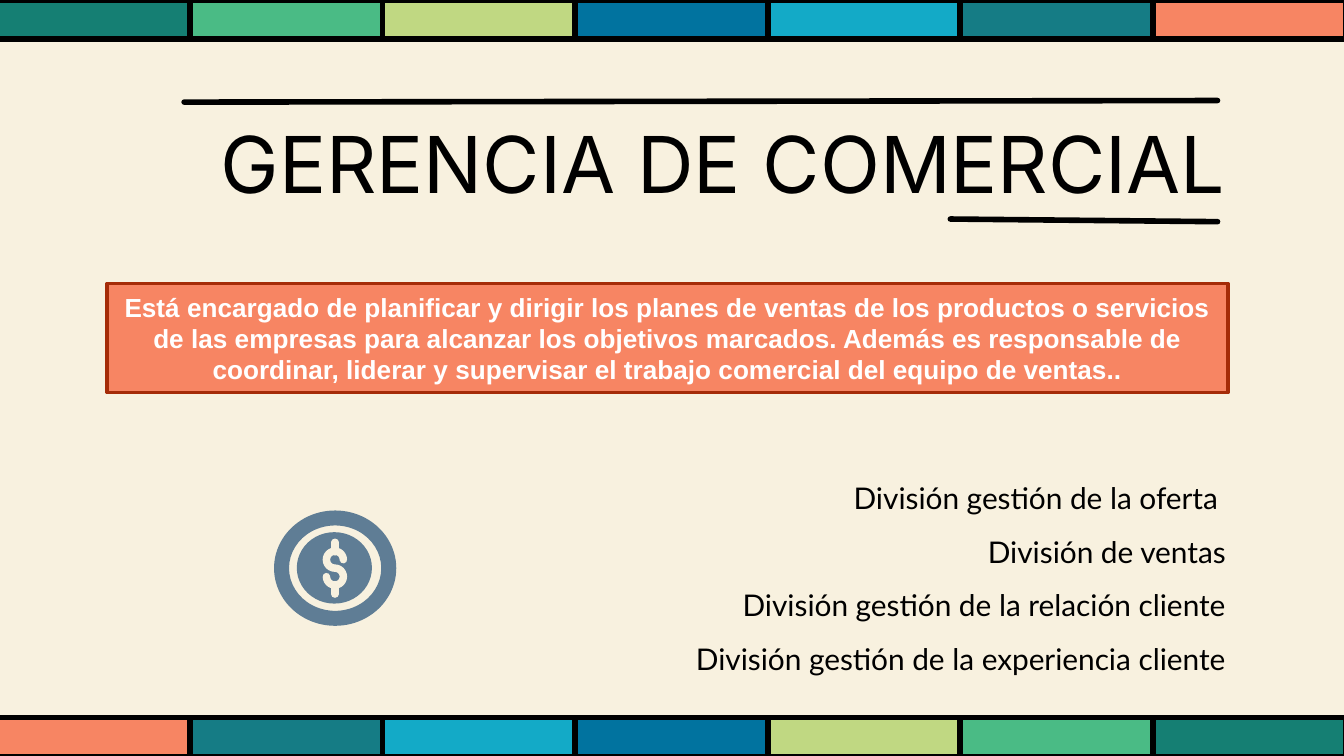
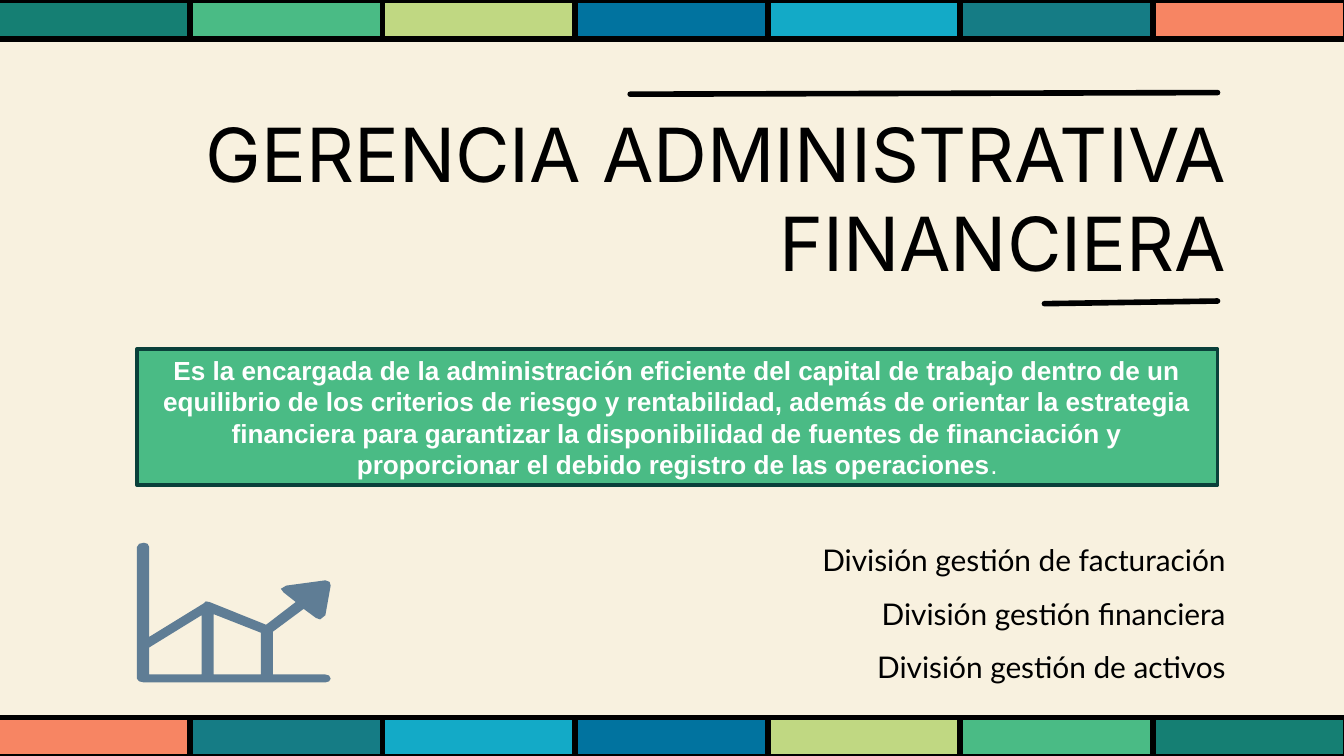
"""Build two slides that present company departments and their divisions."""
import math
from typing import Callable, NamedTuple

from lxml import etree
from pptx import Presentation
from pptx import util as u
from pptx.dml.color import RGBColor
from pptx.enum import shapes, text
from pptx.oxml.ns import qn

COLORS = {
    "cream": "F8F1DF",
    "black": "000000",
    "white": "FFFFFF",
    "pine": "157F73",
    "green": "4ABB85",
    "lime": "C0D882",
    "blue": "01739F",
    "cyan": "13AAC7",
    "teal": "157C85",
    "coral": "F78563",
    "rust": "A52C08",
    "forest": "0A403A",
    "slate": "5F7D95",
}
BAND = ("pine", "green", "lime", "blue", "cyan", "teal", "coral")
TILE_WIDTH, TILE_HEIGHT = 3.64, 0.74
BAND_LEFT, BAND_TOP, BAND_BOTTOM = -0.05, 0, 13.56
MARGIN = u.Cm(0.25)

Point = tuple[float, float]


class Box(NamedTuple):
    """Left, top, width and height in centimetres."""

    left: float
    top: float
    width: float
    height: float

    def lengths(self) -> list[u.Length]:
        """Return the four values as lengths."""
        return [u.Cm(value) for value in self]


class Rule(NamedTuple):
    """A straight stroke between two points in centimetres."""

    start: Point
    end: Point


class Mission(NamedTuple):
    """The framed statement of what a department does."""

    box: Box
    fill: str
    border: str
    statement: str
    ending: str = ""


class Department(NamedTuple):
    """Everything one slide shows."""

    name: str
    name_size: int
    name_box: Box
    rules: tuple[Rule, Rule]
    mission: Mission
    divisions: tuple[str, ...]
    divisions_box: Box
    draw_icon: Callable


def rgb(name: str) -> RGBColor:
    """Look up a colour by name."""
    return RGBColor.from_string(COLORS[name])


def style_runs(paragraph, font: str, size: float, color: str, bold: bool = False) -> None:
    """Format every run of a paragraph."""
    for run in paragraph.runs:
        run.font.name = font
        run.font.size = u.Pt(size)
        run.font.bold = bold
        run.font.color.rgb = rgb(color)


def paint(shape, fill: str | None, border: str | None = None, width: float = 0) -> None:
    """Set fill and border, and take the shadow away."""
    shape.shadow.inherit = False
    if fill:
        shape.fill.solid()
        shape.fill.fore_color.rgb = rgb(fill)
    else:
        shape.fill.background()
    if border:
        shape.line.color.rgb = rgb(border)
        shape.line.width = u.Pt(width)
    else:
        shape.line.fill.background()


def round_ends(stroke) -> None:
    """Give a stroke rounded ends."""
    stroke.element.spPr.find(qn("a:ln")).set("cap", "rnd")


def add_block(slide, kind, box: Box, fill: str, border: str | None = None, width: float = 0):
    """Add a painted preset shape."""
    block = slide.shapes.add_shape(kind, *box.lengths())
    paint(block, fill, border, width)
    return block


def add_rule(slide, rule: Rule, color: str = "black", width: float = 3) -> None:
    """Add a straight stroke with rounded ends."""
    ends = [u.Cm(value) for point in rule for value in point]
    stroke = slide.shapes.add_connector(shapes.MSO_CONNECTOR.STRAIGHT, *ends)
    stroke.line.color.rgb = rgb(color)
    stroke.line.width = u.Pt(width)
    round_ends(stroke)
    etree.SubElement(stroke.element.spPr, qn("a:effectLst"))


def add_outline(slide, contours: list[list[Point]], close: bool = True):
    """Add one freeform made of the given contours."""
    scaled = [[(u.Cm(x), u.Cm(y)) for x, y in contour] for contour in contours]
    builder = slide.shapes.build_freeform(*scaled[0][0])
    for index, contour in enumerate(scaled):
        if index:
            builder.move_to(*contour[0])
        builder.add_line_segments(contour[1:], close=close)
    return builder.convert_to_shape()


def draw_coin(slide) -> None:
    """Draw a coin with a dollar sign."""
    center_x, center_y, radius = 6.33, 10.74, 0.16
    ring = add_block(slide, shapes.MSO_SHAPE.DONUT, Box(5.18, 9.65, 2.31, 2.18), "slate")
    ring.adjustments[0] = 0.13
    add_block(slide, shapes.MSO_SHAPE.OVAL, Box(5.61, 10.06, 1.42, 1.35), "slate")

    def arc(middle: float, degrees: range) -> list[Point]:
        return [
            (center_x + radius * math.cos(math.radians(d)), middle - radius * math.sin(math.radians(d)))
            for d in degrees
        ]

    curve = arc(center_y - radius, range(0, 271, 15)) + arc(center_y + radius, range(75, -181, -15))
    letter = add_outline(slide, [curve], close=False)
    paint(letter, None, "cream", 4)
    round_ends(letter)
    for side in (-1, 1):
        bar = Rule((center_x, center_y + side * 0.31), (center_x, center_y + side * 0.49))
        add_rule(slide, bar, "cream", 4)


def draw_growth(slide) -> None:
    """Draw a rising graph with an arrow."""
    frame = [
        (2.72, 10.26), (2.63, 10.28), (2.59, 10.34), (2.59, 12.83), (2.63, 12.88), (2.72, 12.9),
        (6.15, 12.9), (6.22, 12.88), (6.25, 12.83), (6.22, 12.77), (6.15, 12.75), (5.16, 12.75),
        (5.16, 11.94), (5.74, 11.51), (5.97, 11.68), (6.05, 11.71), (6.15, 11.63), (6.25, 11.07),
        (6.23, 11), (6.15, 10.97), (5.41, 11.07), (5.31, 11.13), (5.36, 11.2), (5.59, 11.38),
        (5.03, 11.81), (3.96, 11.38), (3.89, 11.37), (3.86, 11.4), (2.82, 12.04), (2.82, 10.34),
        (2.79, 10.28),
    ]
    left_gap = [(3.81, 11.63), (3.81, 12.75), (2.82, 12.75), (2.82, 12.24)]
    right_gap = [(4.04, 11.61), (4.93, 11.96), (4.93, 12.75), (4.04, 12.75)]
    paint(add_outline(slide, [frame, left_gap, right_gap]), "slate")


def add_bands(slide) -> None:
    """Add the colour bands at the top and the bottom."""
    for top, colors in ((BAND_BOTTOM, BAND[::-1]), (BAND_TOP, BAND)):
        for column, color in enumerate(colors):
            tile = Box(BAND_LEFT + column * TILE_WIDTH, top, TILE_WIDTH, TILE_HEIGHT)
            add_block(slide, shapes.MSO_SHAPE.RECTANGLE, tile, color, "black", 3)


def set_frame(frame) -> None:
    """Give a text frame its wrapping, margins and anchor."""
    frame.word_wrap = True
    frame.auto_size = text.MSO_AUTO_SIZE.NONE
    frame.vertical_anchor = text.MSO_ANCHOR.TOP
    frame.margin_left = frame.margin_right = MARGIN
    frame.margin_top = frame.margin_bottom = MARGIN


def set_title(slide, department: Department) -> None:
    """Place and format the title."""
    title = slide.shapes.title
    title.left, title.top, title.width, title.height = department.name_box.lengths()
    set_frame(title.text_frame)
    title.text_frame.text = department.name
    heading = title.text_frame.paragraphs[0]
    heading.alignment = text.PP_ALIGN.RIGHT
    style_runs(heading, "Inter", department.name_size, "black")


def add_mission(slide, mission: Mission) -> None:
    """Add the framed statement."""
    panel = add_block(
        slide, shapes.MSO_SHAPE.RECTANGLE, mission.box, mission.fill, mission.border, 2
    )
    panel.text_frame.word_wrap = True
    panel.text_frame.vertical_anchor = text.MSO_ANCHOR.MIDDLE
    panel.text_frame.text = mission.statement
    statement = panel.text_frame.paragraphs[0]
    statement.alignment = text.PP_ALIGN.CENTER
    if mission.ending:
        statement.add_run().text = mission.ending
    style_runs(statement, "Arial", 14, "white", bold=True)
    if mission.ending:
        statement.runs[-1].font.bold = False


def add_divisions(slide, department: Department) -> None:
    """Add the list of divisions."""
    listing = slide.shapes.add_textbox(*department.divisions_box.lengths()).text_frame
    set_frame(listing)
    listing.text = "\n".join(department.divisions)
    for division in listing.paragraphs:
        division.alignment = text.PP_ALIGN.RIGHT
        division.line_spacing = 1.5
        style_runs(division, "Lato", 16, "black")


DEPARTMENTS = (
    Department(
        "GERENCIA DE COMERCIAL", 42, Box(1.85, 1.93, 21.56, 3.96),
        (Rule((17.96, 4.14), (23.01, 4.19)), Rule((3.48, 1.93), (23.01, 1.9))),
        Mission(
            Box(2.03, 5.36, 21.18, 2.06), "coral", "rust",
            "Está encargado de planificar y dirigir los planes de ventas de los productos o "
            "servicios de las empresas para alcanzar los objetivos marcados. Además es "
            "responsable de coordinar, liderar y supervisar el trabajo comercial del equipo "
            "de ventas..",
        ),
        (
            "División gestión de la oferta ",
            "División de ventas",
            "División gestión de la relación cliente",
            "División gestión de la experiencia cliente",
        ),
        Box(11.38, 8.48, 12.04, 4.52), draw_coin,
    ),
    Department(
        "GERENCIA ADMINISTRATIVA FINANCIERA", 40, Box(-0.28, 1.78, 23.7, 3.96),
        (Rule((19.74, 5.74), (23.01, 5.69)), Rule((11.91, 1.78), (23.01, 1.75))),
        Mission(
            Box(2.59, 6.6, 20.42, 2.57), "green", "forest",
            "Es la encargada de la administración eficiente del capital de trabajo dentro de "
            "un equilibrio de los criterios de riesgo y rentabilidad, además de orientar la "
            "estrategia financiera para garantizar la disponibilidad de fuentes de "
            "financiación y proporcionar el debido registro de las operaciones",
            ".",
        ),
        (
            "División gestión de facturación",
            "División gestión financiera",
            "División gestión de activos",
        ),
        Box(11.38, 9.65, 12.04, 3.43), draw_growth,
    ),
)


def main() -> None:
    """Build and save the presentation."""
    deck = Presentation()
    deck.slide_width, deck.slide_height = u.Cm(25.4), u.Cm(14.29)
    backdrop = deck.slide_master.background.fill
    backdrop.solid()
    backdrop.fore_color.rgb = rgb("cream")
    for department in DEPARTMENTS:
        slide = deck.slides.add_slide(deck.slide_layouts[5])
        add_bands(slide)
        set_title(slide, department)
        add_divisions(slide, department)
        for rule in department.rules:
            add_rule(slide, rule)
        add_mission(slide, department.mission)
        department.draw_icon(slide)
    deck.save("out.pptx")


if __name__ == "__main__":
    main()
